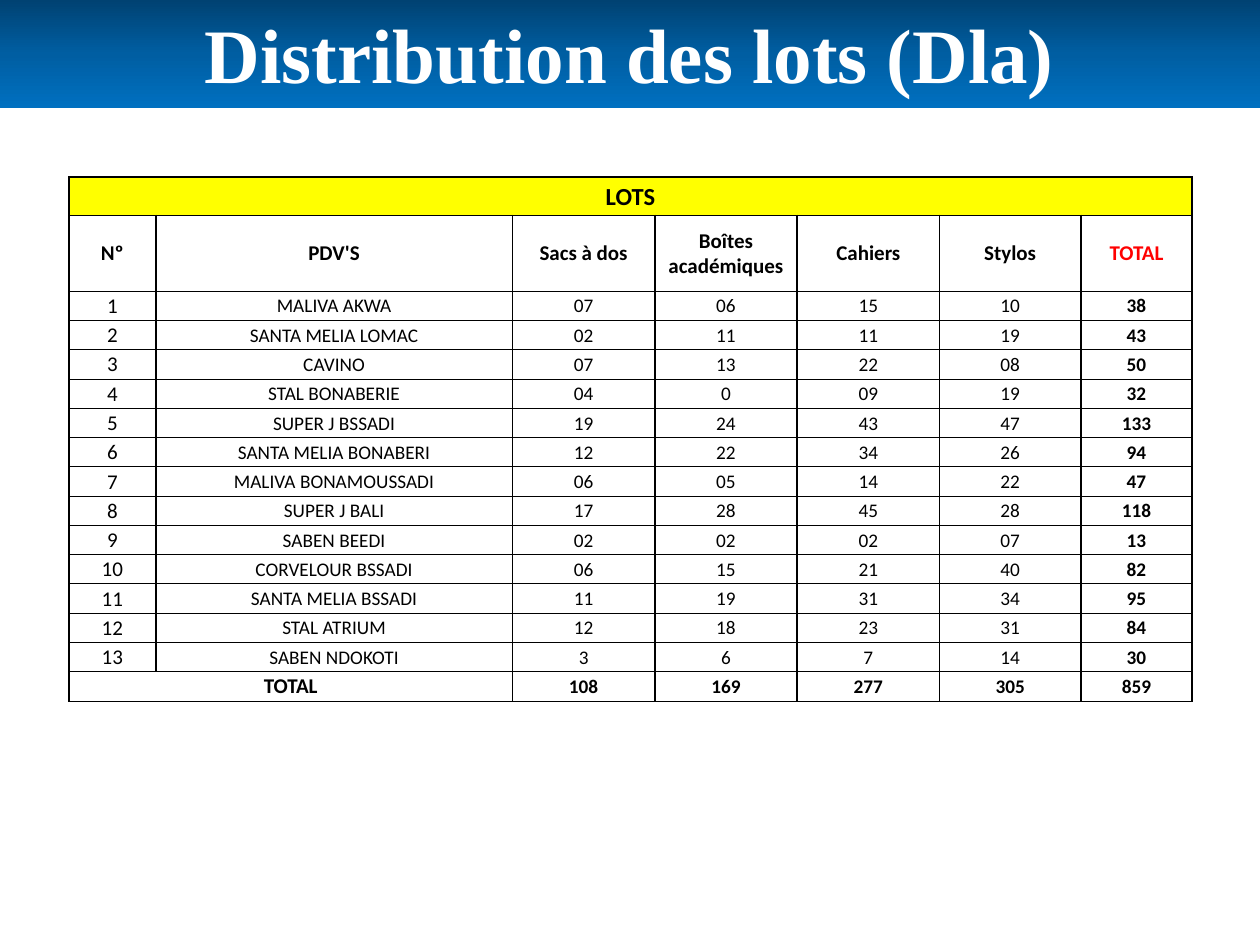
"""Build the slide showing how prize lots were distributed across the outlets."""
from copy import deepcopy
from dataclasses import dataclass

from lxml.etree import SubElement
from pptx import Presentation
from pptx.dml.color import RGBColor
from pptx.enum.shapes import MSO_SHAPE
from pptx.enum.text import MSO_ANCHOR, PP_ALIGN
from pptx.oxml.ns import qn
from pptx.slide import Slide
from pptx.table import Table, _Cell
from pptx.text.text import TextFrame
from pptx.util import Cm, Pt

COLORS = {
    "band_top": "004272",
    "band_middle": "005EA2",
    "band_bottom": "0070C0",
    "white": "FFFFFF",
    "black": "000000",
    "yellow": "FFFF00",
    "red": "FF0000",
}
BAND_STOPS = [(0, "band_top"), (0.5, "band_middle"), (1, "band_bottom")]
COLUMN_WIDTHS = [1.75, 7.19, 2.87, 2.87, 2.87, 2.85, 2.24]
BANNER_HEIGHT, HEADER_HEIGHT, ROW_HEIGHT = 0.77, 1.53, 0.59
HEADERS = ["Nº", "PDV'S", "Sacs à dos", "Boîtes académiques", "Cahiers", "Stylos", "TOTAL"]
THICK, THIN = 1, 0.5


@dataclass(frozen=True)
class Outlet:
    name: str
    lots: tuple[str, str, str, str]

    @property
    def counts(self) -> list[int]:
        return [int(lot) for lot in self.lots]


OUTLETS = [
    Outlet("MALIVA AKWA", ("07", "06", "15", "10")),
    Outlet("SANTA MELIA LOMAC", ("02", "11", "11", "19")),
    Outlet("CAVINO", ("07", "13", "22", "08")),
    Outlet("STAL BONABERIE", ("04", "0", "09", "19")),
    Outlet("SUPER J BSSADI", ("19", "24", "43", "47")),
    Outlet("SANTA MELIA BONABERI", ("12", "22", "34", "26")),
    Outlet("MALIVA BONAMOUSSADI", ("06", "05", "14", "22")),
    Outlet("SUPER J BALI", ("17", "28", "45", "28")),
    Outlet("SABEN BEEDI", ("02", "02", "02", "07")),
    Outlet("CORVELOUR BSSADI", ("06", "15", "21", "40")),
    Outlet("SANTA MELIA BSSADI", ("11", "19", "31", "34")),
    Outlet("STAL ATRIUM", ("12", "18", "23", "31")),
    Outlet("SABEN NDOKOTI", ("3", "6", "7", "14")),
]


def rgb(color: str) -> RGBColor:
    return RGBColor.from_string(COLORS[color])


def write(frame: TextFrame, text: str, *, size: float, font: str = "Calibri",
          color: str = "black", bold: bool = False) -> None:
    frame.word_wrap = True
    paragraph = frame.paragraphs[0]
    paragraph.alignment = PP_ALIGN.CENTER
    run = paragraph.add_run()
    run.text = text
    run.font.size = Pt(size)
    run.font.name = font
    run.font.bold = bold
    run.font.color.rgb = rgb(color)


def style_cell(cell: _Cell, fill: str, top: float, bottom: float) -> None:
    cell.vertical_anchor = MSO_ANCHOR.MIDDLE
    cell.margin_left = cell.margin_right = cell.margin_top = Cm(0.02)
    cell.margin_bottom = 0
    properties = cell._tc.get_or_add_tcPr()
    for side, width in (("L", THICK), ("R", THICK), ("T", top), ("B", bottom)):
        border = SubElement(properties, qn(f"a:ln{side}"), w=str(Pt(width)))
        paint = SubElement(border, qn("a:solidFill"))
        SubElement(paint, qn("a:srgbClr"), val=COLORS["black"])
    cell.fill.solid()
    cell.fill.fore_color.rgb = rgb(fill)


def fill_row(table: Table, row: int, texts: list[str], sizes: list[float],
             bold_columns: range) -> None:
    for column, (text, size) in enumerate(zip(texts, sizes)):
        if text:
            write(table.cell(row, column).text_frame, text, size=size,
                  bold=column in bold_columns,
                  color="red" if (row, text) == (1, "TOTAL") else "black")


def draw_title(slide: Slide, width: int) -> None:
    band = slide.shapes.add_shape(MSO_SHAPE.RECTANGLE, 0, 0, width, Cm(2.18))
    band.shadow.inherit = False
    band.line.fill.background()
    band.fill.gradient()
    band.fill.gradient_angle = 270
    first_stop = band._element.spPr.find(f".//{qn('a:gs')}")
    first_stop.addnext(deepcopy(first_stop))
    for stop, (position, color) in zip(band.fill.gradient_stops, BAND_STOPS):
        stop.position = position
        stop.color.rgb = rgb(color)
    title = slide.shapes.add_textbox(0, 0, width, Cm(2.13))
    write(title.text_frame, "Distribution des lots (Dla)", size=44,
          font="Times New Roman", color="white", bold=True)


def draw_lots(slide: Slide) -> None:
    heights = [BANNER_HEIGHT, HEADER_HEIGHT] + [ROW_HEIGHT] * (len(OUTLETS) + 1)
    table = slide.shapes.add_table(
        len(heights), len(COLUMN_WIDTHS), Cm(1.39), Cm(3.57),
        Cm(sum(COLUMN_WIDTHS)), Cm(sum(heights))).table
    table.first_row = table.horz_banding = False
    for column, width in zip(table.columns, COLUMN_WIDTHS):
        column.width = Cm(width)
    for index, (row, height) in enumerate(zip(table.rows, heights)):
        row.height = Cm(height)
        for cell in row.cells:
            style_cell(cell, "white" if index else "yellow",
                       top=THICK if index < 2 else THIN,
                       bottom=THIN if index else THICK)

    last_row, last_column = len(heights) - 1, len(COLUMN_WIDTHS) - 1
    every_column = range(last_column + 1)
    table.cell(0, 0).merge(table.cell(0, last_column))
    table.cell(last_row, 0).merge(table.cell(last_row, 1))
    sizes = [12] + [11] * last_column
    fill_row(table, 0, ["LOTS"], [14], every_column)
    fill_row(table, 1, HEADERS, [12] * len(HEADERS), every_column)
    for number, outlet in enumerate(OUTLETS, start=1):
        texts = [str(number), outlet.name, *outlet.lots, str(sum(outlet.counts))]
        fill_row(table, number + 1, texts, sizes, range(last_column, last_column + 1))
    totals = [sum(counts) for counts in zip(*(outlet.counts for outlet in OUTLETS))]
    fill_row(table, last_row, ["TOTAL", "", *map(str, totals), str(sum(totals))],
             sizes, every_column)


def main() -> None:
    presentation = Presentation()
    presentation.slide_width, presentation.slide_height = Cm(25.4), Cm(19.05)
    slide = presentation.slides.add_slide(presentation.slide_layouts[6])
    draw_lots(slide)
    draw_title(slide, presentation.slide_width)
    presentation.save("out.pptx")


if __name__ == "__main__":
    main()
